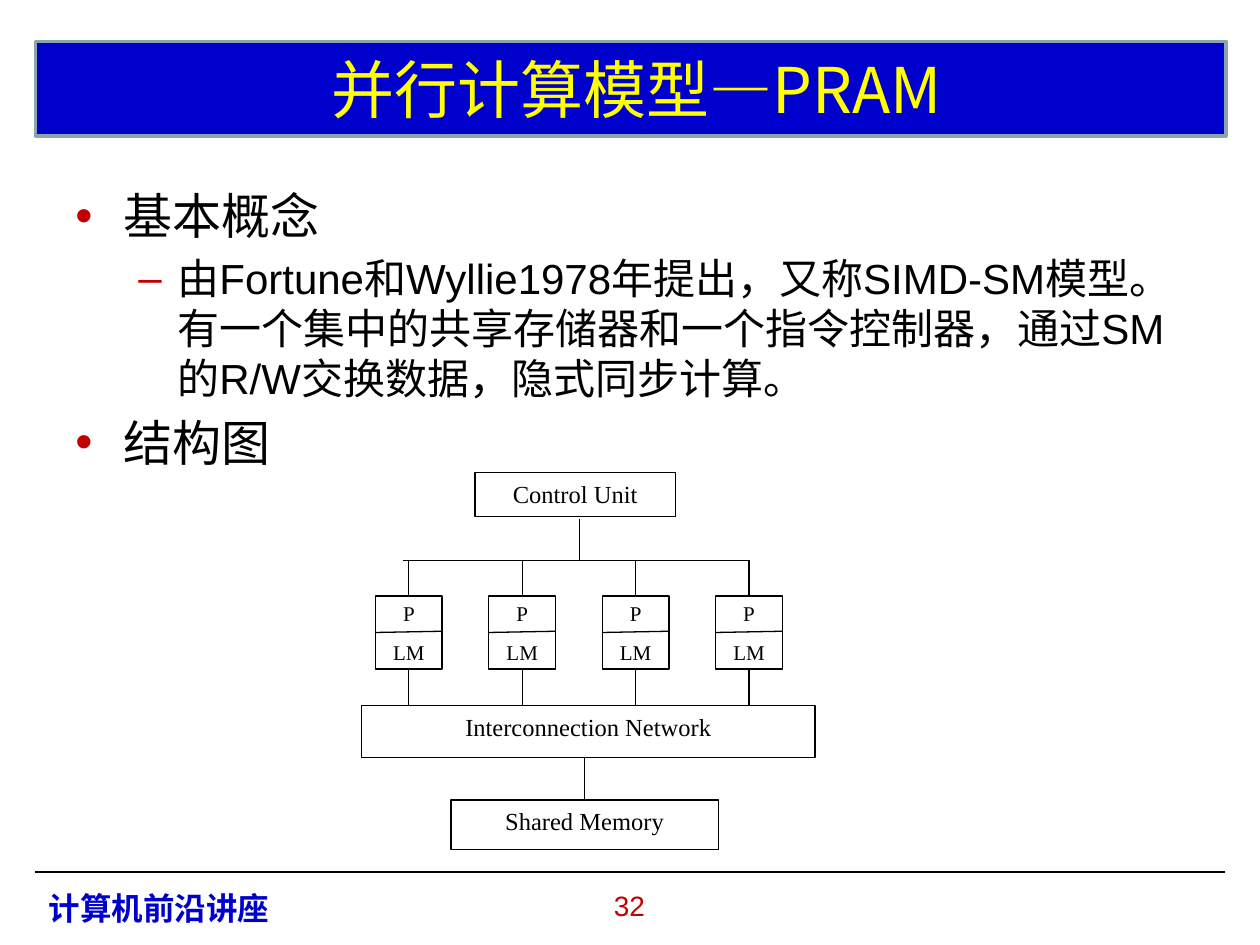
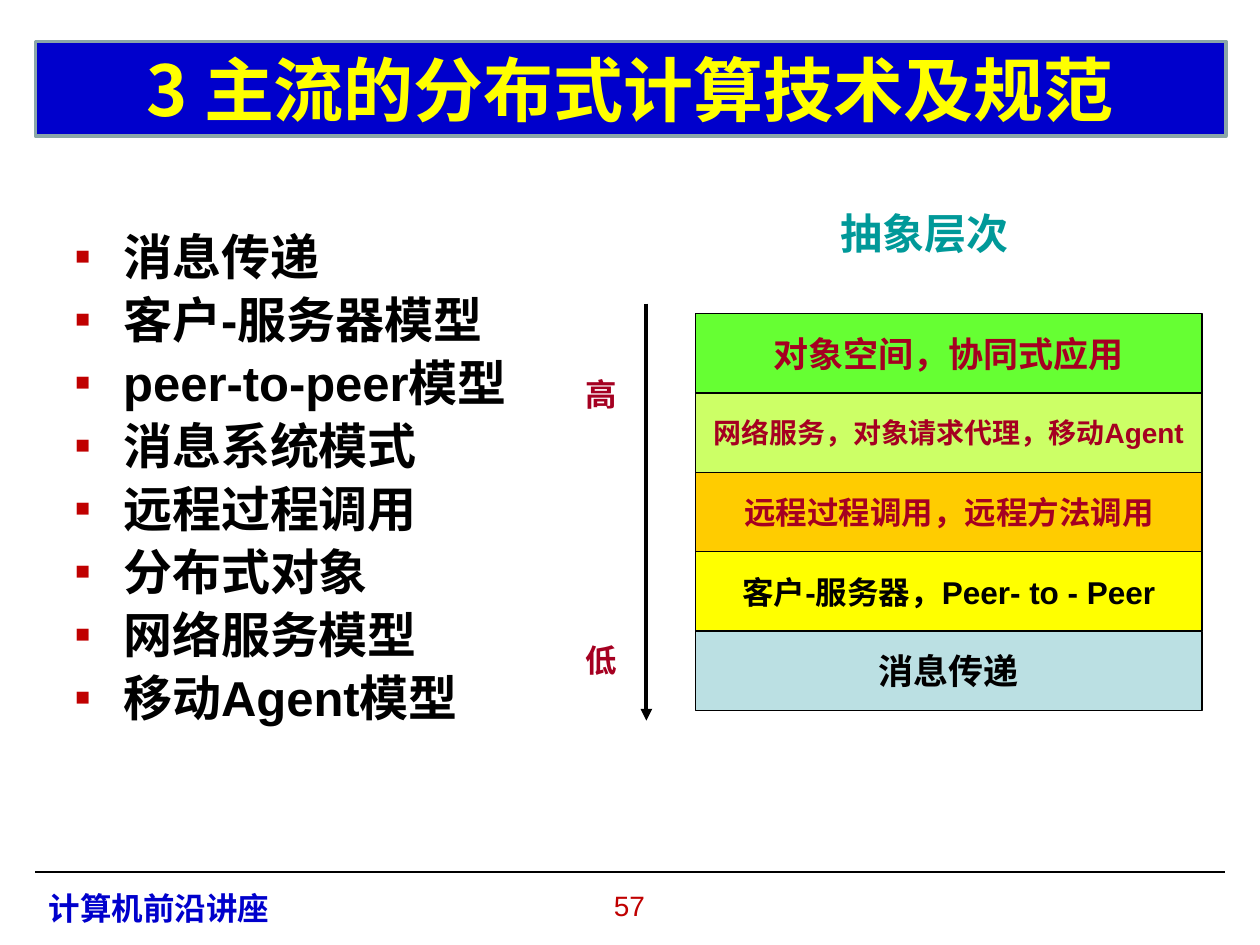
from dataclasses import dataclass

from lxml import etree
from pptx import Presentation
from pptx.dml.color import RGBColor
from pptx.enum import shapes, text
from pptx.oxml import ns
from pptx.util import Inches, Pt


@dataclass(frozen=True)
class Theme:
    band: str = "0000CC"
    band_edge: str = "8AA6A8"
    title: str = "FFFF00"
    accent: str = "C00000"
    ink: str = "000000"
    paper: str = "FFFFFF"
    teal: str = "009999"
    crimson: str = "A50021"
    sans: str = "Arial"
    cjk: str = "Noto Sans CJK SC"
    serif: str = "Times New Roman"
    heading: int = 28
    body: int = 24
    large: int = 20
    label: int = 18
    small: int = 16
    diagram: int = 14
    cell: int = 12


THEME = Theme()
LEFT, CENTER = text.PP_ALIGN.LEFT, text.PP_ALIGN.CENTER
TOP, MIDDLE = text.MSO_ANCHOR.TOP, text.MSO_ANCHOR.MIDDLE


def add_xml(parent, tag, **attributes):
    return etree.SubElement(parent, ns.qn(tag), attributes)


class Deck:
    def __init__(self, theme):
        self.theme = theme
        self.presentation = Presentation()
        self.presentation.slide_width = Inches(10)
        self.presentation.slide_height = Inches(7.5)
        self.slide = None

    def start_slide(self, title, size, number, bold=False):
        theme = self.theme
        layout = self.presentation.slide_layouts[5]
        self.slide = self.presentation.slides.add_slide(layout)
        placeholder = self.slide.shapes.title
        band = self.box(0.28, 0.33, 9.45, 0.75, theme.band, theme.band_edge, 2)
        placeholder.element.addprevious(band.element)
        placeholder.left, placeholder.top = Inches(0.5), Inches(0.33)
        placeholder.width, placeholder.height = Inches(9), Inches(0.75)
        self.set_text(placeholder, [title], size, theme.title, theme.cjk, bold, anchor=MIDDLE)
        self.line((0.28, 6.92), (9.72, 6.92), 1.5)
        self.label(0.29, 7.01, 1.97, 0.4, ["计算机前沿讲座"], theme.label, theme.band,
                   bold=True, align=LEFT, wrap=False)
        self.label(3.83, 7, 2.33, 0.52, [number], theme.small, theme.accent)

    def style(self, paragraph, size, color, font, bold):
        paragraph.font.size = Pt(size)
        paragraph.font.name = font
        paragraph.font.bold = bold
        paragraph.font.color.rgb = RGBColor.from_string(color)
        properties = paragraph.font._element
        add_xml(properties, "a:ea", typeface=self.theme.cjk)

    def set_text(self, shape, lines, size, color, font=None, bold=False, align=CENTER,
                 anchor=TOP, wrap=True, gap=0, spacing=None, inset=None):
        frame = shape.text_frame
        frame.auto_size = text.MSO_AUTO_SIZE.NONE
        frame.word_wrap = wrap
        frame.vertical_anchor = anchor
        if inset is not None:
            frame.margin_left = frame.margin_right = Inches(inset)
            frame.margin_top = frame.margin_bottom = Inches(inset)
        for index, line in enumerate(lines):
            paragraph = frame.add_paragraph() if index else frame.paragraphs[0]
            paragraph.text = line
            paragraph.alignment = align
            if index:
                paragraph.space_before = Pt(gap)
            if spacing:
                paragraph.line_spacing = Pt(spacing)
            self.style(paragraph, size, color, font or self.theme.sans, bold)

    def label(self, left, top, width, height, lines, size, color, **options):
        shape = self.slide.shapes.add_textbox(
            Inches(left), Inches(top), Inches(width), Inches(height))
        self.set_text(shape, lines, size, color, **options)

    def box(self, left, top, width, height, fill, edge=None, weight=0.75):
        shape = self.slide.shapes.add_shape(
            shapes.MSO_SHAPE.RECTANGLE,
            Inches(left), Inches(top), Inches(width), Inches(height))
        shape.shadow.inherit = False
        shape.fill.solid()
        shape.fill.fore_color.rgb = RGBColor.from_string(fill)
        if edge:
            shape.line.color.rgb = RGBColor.from_string(edge)
            shape.line.width = Pt(weight)
        else:
            shape.line.fill.background()
        return shape

    def unit(self, left, top, width, height, lines, size, **options):
        shape = self.box(left, top, width, height, self.theme.paper, self.theme.ink)
        self.set_text(shape, lines, size, self.theme.ink, self.theme.serif, **options)
        return shape

    def line(self, start, end, weight=0.75, arrow=False, begin=None, finish=None):
        connector = self.slide.shapes.add_connector(
            shapes.MSO_CONNECTOR.STRAIGHT, *map(Inches, start + end))
        connector.line.color.rgb = RGBColor.from_string(self.theme.ink)
        connector.line.width = Pt(weight)
        if arrow:
            add_xml(connector.line._get_or_add_ln(), "a:tailEnd", type="triangle")
        add_xml(connector._element.spPr, "a:effectLst")
        if begin:
            connector.begin_connect(*begin)
        if finish:
            connector.end_connect(*finish)

    def bullets(self, top, width, items, gap, bold=False):
        frame = self.slide.shapes.add_textbox(
            Inches(0.5), Inches(top), Inches(width), Inches(5.28)).text_frame
        frame.word_wrap = True
        for index, (line, level, mark, mark_size, size, font, spacing) in enumerate(items):
            paragraph = frame.add_paragraph() if index else frame.paragraphs[0]
            paragraph.text = line
            paragraph.level = level
            paragraph.line_spacing = Pt(spacing)
            if index:
                paragraph.space_before = Pt(gap)
            margin, indent = ((0.38, -0.38), (0.81, -0.31))[level]
            properties = paragraph._p.get_or_add_pPr()
            properties.set("marL", str(Inches(margin)))
            properties.set("indent", str(Inches(indent)))
            color = add_xml(properties, "a:buClr")
            add_xml(color, "a:srgbClr", val=self.theme.accent)
            add_xml(properties, "a:buSzPct", val=str(mark_size * 1000))
            add_xml(properties, "a:buFont", typeface=self.theme.sans)
            add_xml(properties, "a:buChar", char=mark)
            self.style(paragraph, size, self.theme.ink, font, bold)


def build_pram(deck):
    theme = deck.theme
    deck.start_slide(" 并行计算模型—PRAM", 36, "32")
    definition = ("由Fortune和Wyllie1978年提出，又称SIMD-SM模型。有一个集中的共享存储器"
                  "和一个指令控制器，通过SM的R/W交换数据，隐式同步计算。")
    deck.bullets(1.42, 9, [
        ("基本概念", 0, "•", 100, theme.heading, theme.cjk, 34),
        (definition, 1, "–", 100, theme.body, theme.sans, 28.5),
        ("结构图", 0, "•", 100, theme.heading, theme.cjk, 34),
    ], gap=5)

    deck.unit(3.77, 3.75, 1.59, 0.35, ["Control Unit"], theme.diagram)
    deck.unit(2.87, 5.6, 3.6, 0.41, ["Interconnection Network"], theme.diagram)
    memory = deck.unit(3.58, 6.35, 2.12, 0.39, ["Shared Memory"], theme.diagram)

    bus, network = 4.45, 5.6
    top, width, height = 4.73, 0.53, 0.58
    for index in range(4):
        left = 2.98 + 0.9 * index
        middle = left + width / 2
        processor = deck.unit(left, top, width, height, ["P", "LM"], theme.cell,
                              anchor=MIDDLE, gap=8, inset=0)
        deck.line((left, 5.02), (left + width, 5.01))
        deck.line((middle, bus), (middle, top), finish=(processor, 0))
        deck.line((middle, top + height), (middle, network), begin=(processor, 2))
    deck.line((3.2, bus), (5.95, bus))
    deck.line((4.6, 4.12), (4.6, bus))
    deck.line((4.64, 6.01), (4.64, 6.35), finish=(memory, 0))


def build_technologies(deck):
    theme = deck.theme
    deck.start_slide("3 主流的分布式计算技术及规范", 40, "57", bold=True)
    technologies = ["消息传递", "客户-服务器模型", "peer-to-peer模型", "消息系统模式",
                    "远程过程调用", "分布式对象", "网络服务模型", "移动Agent模型"]
    deck.bullets(1.8, 9, [(name, 0, "■", 50, theme.heading, theme.sans, 30)
                          for name in technologies], gap=6, bold=True)

    centered = dict(bold=True, anchor=MIDDLE, wrap=False)
    heading = deck.box(6.2, 1.61, 2.28, 0.47, theme.paper)
    deck.set_text(heading, ["抽象层次"], theme.body, theme.teal, **centered)
    deck.line((5.13, 2.41), (5.13, 5.72), 2.25, arrow=True)
    deck.label(4.5, 2.88, 0.55, 2.6, ["高", "低"], theme.label, theme.crimson,
               gap=130, spacing=22, **centered)

    layers = [
        ("对象空间，协同式应用", "66FF33", theme.large, theme.crimson),
        ("网络服务，对象请求代理，移动Agent", "CCFF66", theme.small, theme.crimson),
        ("远程过程调用，远程方法调用", "FFCC00", theme.label, theme.crimson),
        ("客户-服务器，Peer- to - Peer", "FFFF00", theme.label, theme.ink),
        ("消息传递", "BBE0E3", theme.large, theme.ink),
    ]
    height = 0.63
    for index, (name, fill, size, color) in enumerate(layers):
        layer = deck.box(5.52, 2.49 + height * index, 4.02, height, fill, theme.ink)
        deck.set_text(layer, [name], size, color, **centered)


def main():
    deck = Deck(THEME)
    build_pram(deck)
    build_technologies(deck)
    deck.presentation.save("out.pptx")


if __name__ == "__main__":
    main()
